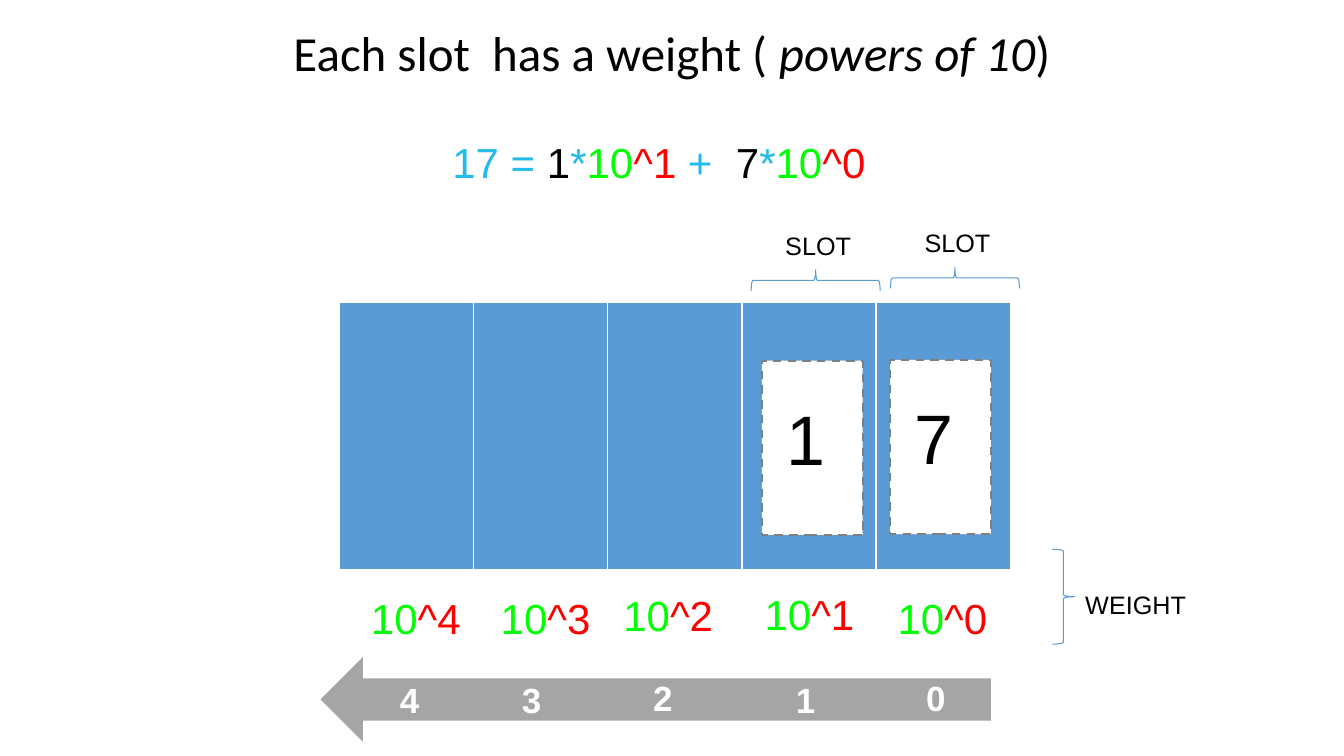
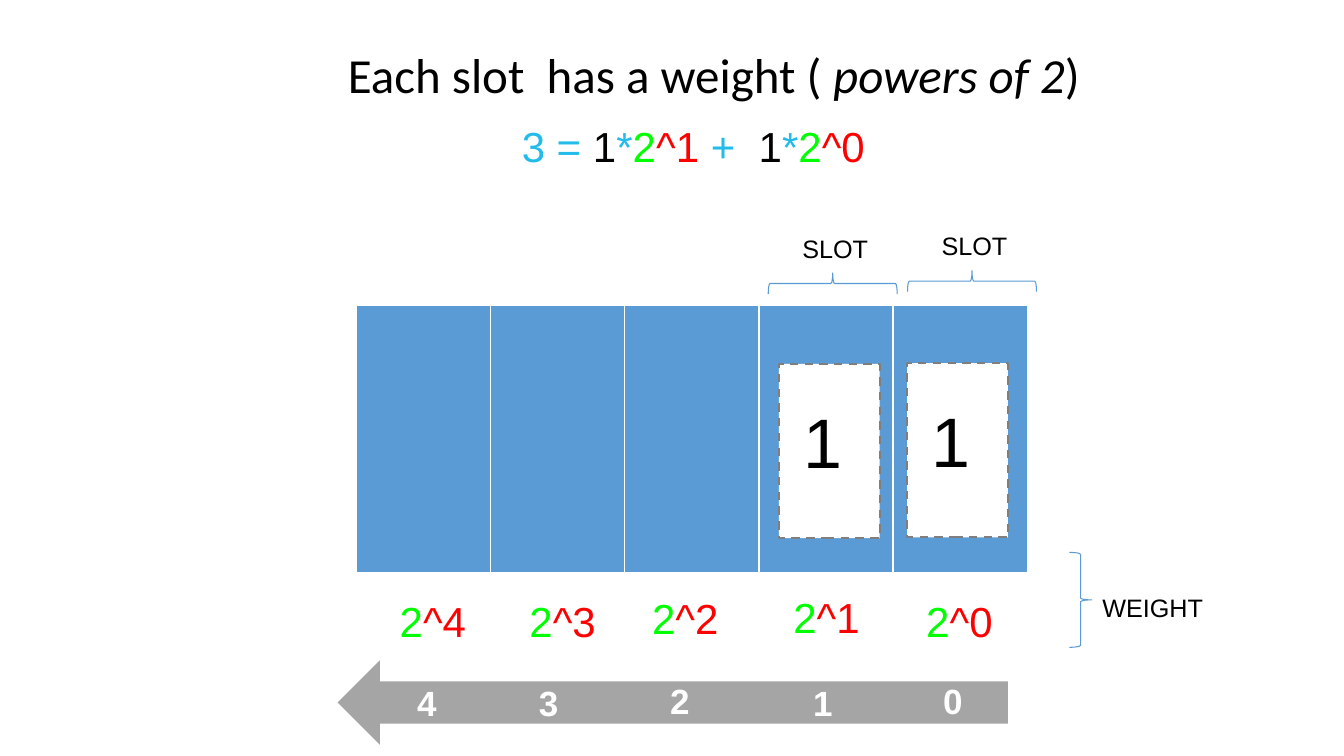
import pptx
import pptx.dml.color
import pptx.enum.dml
import pptx.enum.shapes
import pptx.enum.text
import pptx.util

Cm = pptx.util.Cm
SHAPES = pptx.enum.shapes.MSO_SHAPE
ALIGN = pptx.enum.text.PP_ALIGN

BLACK, WHITE = "000000", "FFFFFF"
BLUE, GRAY, DASH_GRAY = "5B9BD5", "A5A5A5", "7F7F7F"
SYMBOL, BASE, EXPONENT = "22BBEA", "00FF00", "FF0000"

COLUMN_WIDTH, ROW_HEIGHT = 3.38, 6.73
CARD_POSITIONS = [(10.64, 1.47), (13.87, 1.45)]
BRACE_POSITIONS = [(11.73, -2.18), (15.24, -2.24)]
WEIGHT_CENTERS = [(1.92, 6.55), (5.19, 6.55), (8.28, 6.48), (11.84, 6.45), (15.19, 6.55)]
INDEX_POSITIONS = [(1.27, 9.35), (4.34, 9.35), (7.65, 9.3), (11.25, 9.35), (14.53, 9.3)]


def color(value):
    """Return the colour for a hex string."""
    return pptx.dml.color.RGBColor.from_string(value)


def add_run(paragraph, text, size, value, font="Arial", bold=False, italic=False):
    """Append one formatted run to a paragraph."""
    run = paragraph.add_run()
    run.text = text
    run.font.name = font
    run.font.size = pptx.util.Pt(size)
    run.font.color.rgb = color(value)
    run.font.bold = bold
    run.font.italic = italic


def add_text(slide, box, parts, size, spacing=1.0, align=ALIGN.LEFT, bold=False):
    """Add a text box whose parts are pairs of text and colour."""
    shape = slide.shapes.add_textbox(*map(Cm, box))
    shape.text_frame.word_wrap = True
    paragraph = shape.text_frame.paragraphs[0]
    paragraph.alignment = align
    paragraph.line_spacing = spacing
    for text, value in parts:
        add_run(paragraph, text, size, value, bold=bold)


def add_shape(slide, kind, box, fill=None, line=None, width=0.75):
    """Add a preset shape with an optional fill and line."""
    shape = slide.shapes.add_shape(kind, *map(Cm, box))
    shape.shadow.inherit = False
    if fill:
        shape.fill.solid()
        shape.fill.fore_color.rgb = color(fill)
    else:
        shape.fill.background()
    if line:
        shape.line.color.rgb = color(line)
        shape.line.width = pptx.util.Pt(width)
    else:
        shape.line.fill.background()
    return shape


def add_title(slide, left, top, base):
    """Fill and place the title placeholder."""
    title = slide.shapes.title
    title.left, title.top, title.width, title.height = map(Cm, (left, top, 19.79, 1.75))
    frame = title.text_frame
    frame.vertical_anchor = pptx.enum.text.MSO_ANCHOR.TOP
    frame.auto_size = pptx.enum.text.MSO_AUTO_SIZE.NONE
    paragraph = frame.paragraphs[0]
    paragraph.alignment = ALIGN.LEFT
    for text, italic in [("Each slot  has a weight ( ", False), (f"powers of {base}", True), (")", False)]:
        add_run(paragraph, text, 35, BLACK, "Calibri", italic=italic)


def add_equation(slide, left, top, number, digits, base):
    """Write the number as a sum of weighted digits."""
    parts = [(f"{number} = ", SYMBOL)]
    for position, digit in enumerate(digits):
        if position:
            parts.append((" +  ", SYMBOL))
        exponent = len(digits) - 1 - position
        parts += [(digit, BLACK), ("*", SYMBOL), (base, BASE), (f"^{exponent}", EXPONENT)]
    add_text(slide, (left, top, 11.28, 1.93), parts, 30, 1.5)


def add_slots(slide, left, top, digits):
    """Draw the slot table with its digit cards and slot braces."""
    frame = slide.shapes.add_table(1, 5, Cm(left), Cm(top), Cm(5 * COLUMN_WIDTH), Cm(ROW_HEIGHT))
    for cell in frame.table.iter_cells():
        cell.fill.solid()
        cell.fill.fore_color.rgb = color(BLUE)
    for digit, (x, y) in zip(digits, CARD_POSITIONS):
        x, y = left + x, top + y
        card = add_shape(slide, SHAPES.RECTANGLE, (x, y, 2.54, 4.39), WHITE, DASH_GRAY, 1.5)
        card.line.dash_style = pptx.enum.dml.MSO_LINE.DASH
        add_text(slide, (x + 0.36, y + 0.74, 1.5, 2.39), [(digit, BLACK)], 50)
    for x, y in BRACE_POSITIONS:
        x, y = left + x, top + y
        brace = add_shape(slide, SHAPES.LEFT_BRACE, (x, y, 0.53, 3.25), line=BLUE)
        brace.rotation = 90
        add_text(slide, (x - 0.75, y - 0.15, 2.46, 1.42), [("SLOT", BLACK)], 18, 1.5)


def add_weights(slide, left, top, base):
    """Draw the weights, their brace and the numbered arrow below the slots."""
    add_shape(slide, SHAPES.LEFT_ARROW, (left - 0.48, top + 8.94, 16.89, 2.13), GRAY)
    exponents = range(len(WEIGHT_CENTERS) - 1, -1, -1)
    for exponent, weight, index in zip(exponents, WEIGHT_CENTERS, INDEX_POSITIONS):
        weight_box = (left + weight[0] - 1.6, top + weight[1], 3.2, 1.93)
        add_text(slide, weight_box, [(base, BASE), (f"^{exponent}", EXPONENT)], 30, 1.5, ALIGN.CENTER)
        index_box = (left + index[0], top + index[1], 1.02, 1.32)
        add_text(slide, index_box, [(str(exponent), WHITE)], 25, bold=True)
    brace = add_shape(slide, SHAPES.LEFT_BRACE, (left + 17.96, top + 6.22, 0.56, 2.39), line=BLUE)
    brace.rotation = 180
    add_text(slide, (left + 18.54, top + 6.73, 4.14, 1.42), [("WEIGHT", BLACK)], 18, 1.5)


def add_number_slide(presentation, number, digits, base, title, equation, slots):
    """Build one slide that explains a number in the given base."""
    slide = presentation.slides.add_slide(presentation.slide_layouts[5])
    add_title(slide, *title, base)
    add_equation(slide, *equation, number, digits, base)
    add_slots(slide, *slots, digits)
    add_weights(slide, *slots, base)


def main():
    """Build and save the presentation."""
    presentation = pptx.Presentation()
    presentation.slide_width, presentation.slide_height = Cm(33.87), Cm(19.05)
    add_number_slide(presentation, "17", "17", "10", (7.14, 0.43), (11.15, 2.69), (8.56, 7.62))
    add_number_slide(presentation, "3", "11", "2", (8.51, 0.99), (12.9, 2.29), (8.99, 7.7))
    presentation.save("out.pptx")


if __name__ == "__main__":
    main()
